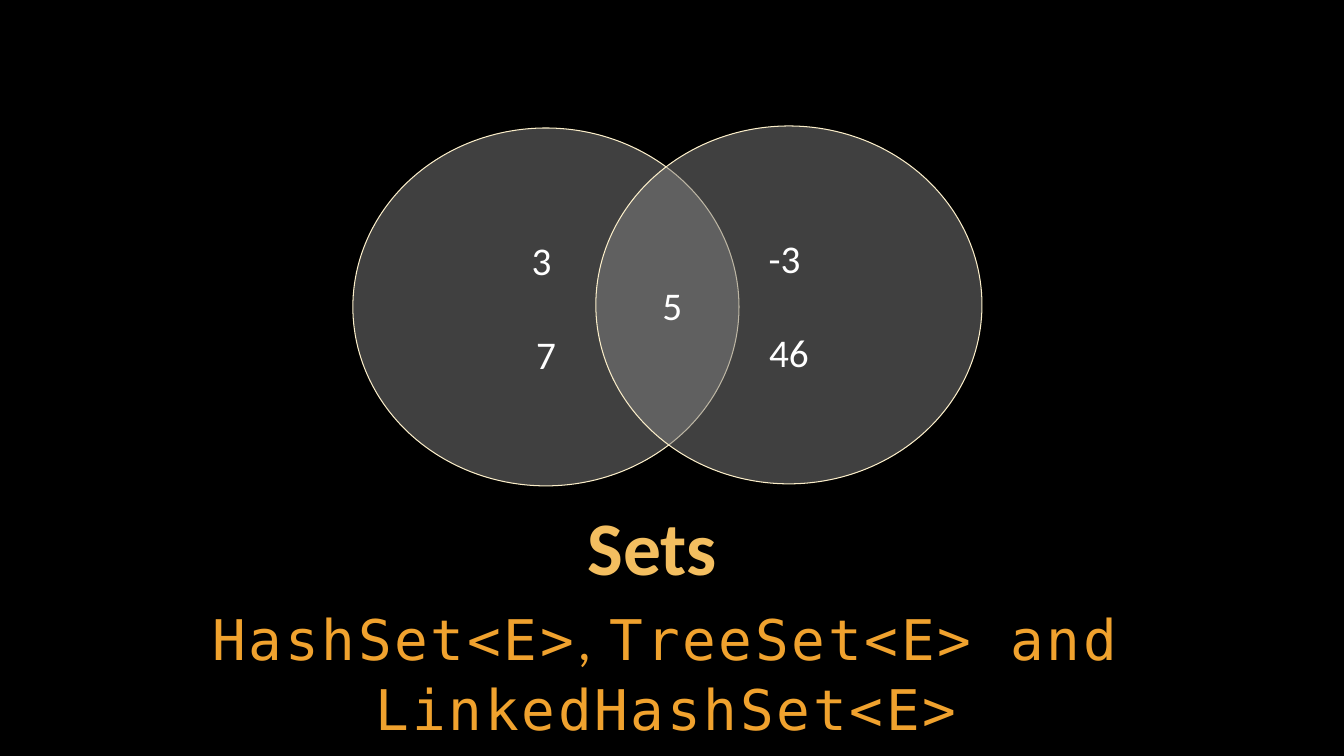
"""Build a slide that introduces sets with a two-circle Venn diagram."""
from lxml import etree
from pptx import Presentation
from pptx.dml.color import RGBColor
from pptx.enum.shapes import MSO_SHAPE
from pptx.enum.text import MSO_ANCHOR, PP_ALIGN
from pptx.oxml.ns import qn
from pptx.util import Inches, Pt

BLACK = RGBColor(0x00, 0x00, 0x00)
WHITE = RGBColor(0xFF, 0xFF, 0xFF)
GREY = RGBColor(0x80, 0x80, 0x80)
CREAM = RGBColor(0xFB, 0xEE, 0xC9)
GOLD = RGBColor(0xF3, 0xBE, 0x60)
ORANGE = RGBColor(0xF0, 0xA2, 0x2E)
SANS, MONO = "Calibri", "DejaVu Sans Mono"


def style(run, font, size, color):
    run.font.name = font
    run.font.size = Pt(size)
    run.font.color.rgb = color


def add_caption(left, top, width, height, anchor):
    frame = slide.shapes.add_textbox(
        Inches(left), Inches(top), Inches(width), Inches(height)).text_frame
    frame.word_wrap = True
    frame.vertical_anchor = anchor
    frame.margin_left = frame.margin_right = Inches(0.04)
    frame.margin_top = frame.margin_bottom = Inches(0.04)
    frame.paragraphs[0].alignment = PP_ALIGN.CENTER
    return frame.paragraphs[0]


deck = Presentation()
deck.slide_width, deck.slide_height = Inches(13.33), Inches(7.5)
slide = deck.slides.add_slide(deck.slide_layouts[6])
slide.background.fill.solid()
slide.background.fill.fore_color.rgb = BLACK

heading = add_caption(1.58, 5, 9.78, 0.9, MSO_ANCHOR.BOTTOM)
heading.text = "Sets"
heading.line_spacing = Pt(54)
style(heading.runs[0], SANS, 54, GOLD)
heading.runs[0].font.bold = True

class_names = add_caption(1.72, 5.92, 9.78, 1.49, MSO_ANCHOR.TOP)
class_names.line_spacing = 1.05
class_names.space_after = Pt(6)
for words, font in [("HashSet<E>", MONO), (", ", SANS),
                    ("TreeSet<E> and LinkedHashSet<E>", MONO)]:
    name = class_names.add_run()
    name.text = words
    style(name, font, 40, ORANGE)
    name.font._element.set("spc", "200")

CENTER, LEFT = PP_ALIGN.CENTER, PP_ALIGN.LEFT
venn_sets = [
    (3.5, 1.27, [("3 ", CENTER, 34), ("7", CENTER, 0)]),
    (5.91, 1.25, [("-3 ", CENTER, 0), ("5", LEFT, 0), ("46", CENTER, 0)]),
]
for left, top, members in venn_sets:
    circle = slide.shapes.add_shape(
        MSO_SHAPE.OVAL, Inches(left), Inches(top), Inches(3.83), Inches(3.55))
    circle.shadow.inherit = False
    circle.fill.solid()
    circle.fill.fore_color.rgb = GREY
    tint = circle.fill._xPr.find(qn("a:solidFill"))[0]
    etree.SubElement(tint, qn("a:alpha")).set("val", "50000")
    circle.line.color.rgb = CREAM
    circle.line.width = Pt(0.75)
    frame = circle.text_frame
    frame.vertical_anchor = MSO_ANCHOR.MIDDLE
    frame.text = "\n".join(number for number, _, _ in members)
    for member, (_, alignment, gap) in zip(frame.paragraphs, members):
        member.alignment = alignment
        member.space_after = Pt(gap)
        style(member.runs[0], SANS, 28, WHITE)

deck.save("out.pptx")
